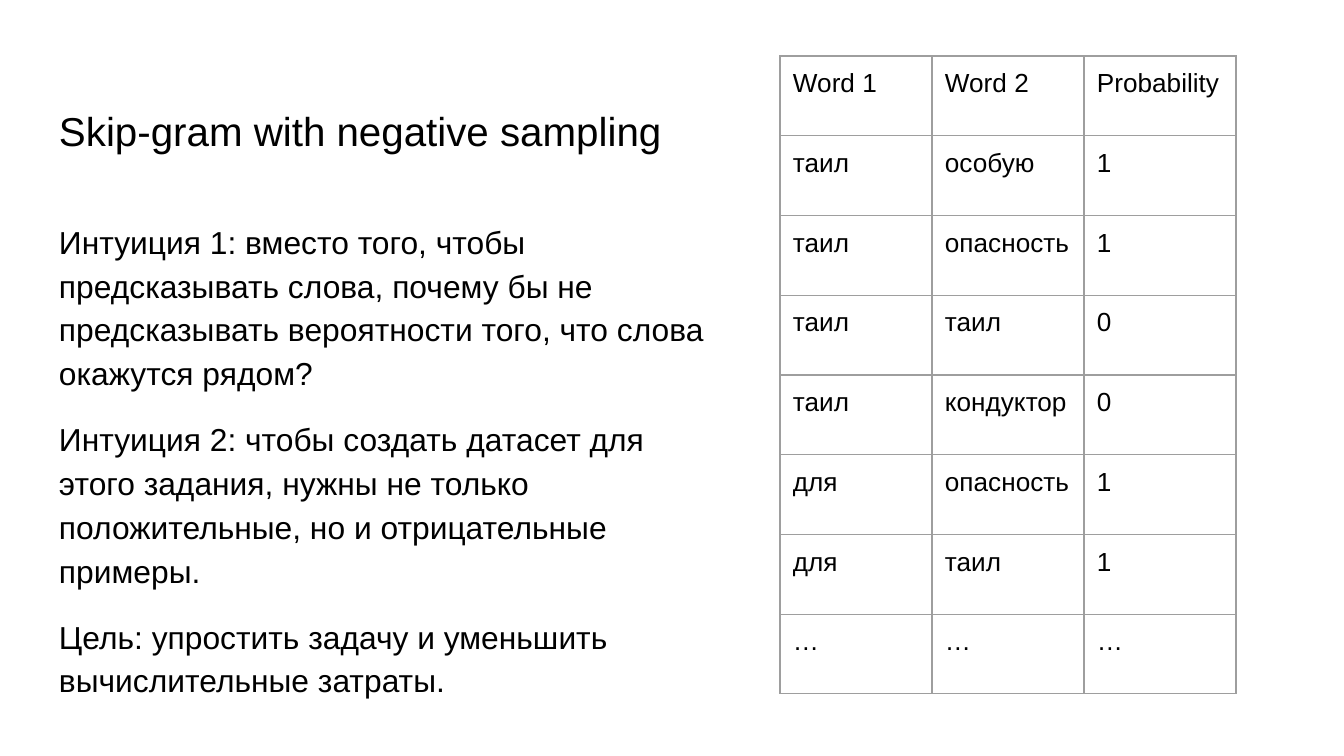
from dataclasses import dataclass

from lxml import etree
from pptx import Presentation
from pptx import util as u
from pptx.dml.color import RGBColor
from pptx.enum import text
from pptx.oxml import ns

SCALE = 914400 / 134.4


def px(num):
    return u.Emu(round(num * SCALE))


def put(obj, vals):
    for key, val in vals.items():
        setattr(obj, key, val)


@dataclass(frozen=True)
class Theme:
    face: str = "Arial"
    ink: str = "000000"
    rule: str = "9E9E9E"
    title: float = 21.6
    body: float = 17
    cell: float = 14
    line: float = 0.75
    pad: int = 13


class Deck:
    def __init__(self, theme, wide, high):
        self.theme = theme
        self.prs = Presentation()
        put(self.prs, {"slide_width": px(wide), "slide_height": px(high)})
        self.slide = self.prs.slides.add_slide(self.prs.slide_layouts[6])

    def pad(self, obj):
        sides = ("left", "top", "right", "bottom")
        put(obj, {f"margin_{side}": px(self.theme.pad) for side in sides})

    def label(self, par, words, size):
        run = par.add_run()
        run.text = words
        put(run.font, {"name": self.theme.face, "size": u.Pt(size)})
        run.font.color.rgb = RGBColor.from_string(self.theme.ink)

    def text(self, box, pars, size, anchor, forms):
        frame = self.slide.shapes.add_textbox(*map(px, box)).text_frame
        put(frame, {"word_wrap": True, "vertical_anchor": anchor,
                    "auto_size": text.MSO_AUTO_SIZE.NONE})
        self.pad(frame)
        for i, (words, form) in enumerate(zip(pars, forms)):
            par = frame.add_paragraph() if i else frame.paragraphs[0]
            put(par, form)
            self.label(par, words, size)

    def edge(self, cell):
        props = cell._tc.get_or_add_tcPr()
        for side in "LRTB":
            line = etree.SubElement(props, ns.qn(f"a:ln{side}"),
                                    w=str(u.Pt(self.theme.line)))
            fill = etree.SubElement(line, ns.qn("a:solidFill"))
            etree.SubElement(fill, ns.qn("a:srgbClr"), val=self.theme.rule)

    def table(self, box, rows):
        grid = self.slide.shapes.add_table(
            len(rows), len(rows[0]), *map(px, box)).table
        put(grid, {"first_row": False, "horz_banding": False})
        for col in grid.columns:
            col.width = px(box[2] / len(rows[0]))
        for row, words in zip(grid.rows, rows):
            row.height = px(box[3] / len(rows))
            for cell, word in zip(row.cells, words):
                self.pad(cell)
                self.edge(cell)
                cell.fill.background()
                self.label(cell.text_frame.paragraphs[0], word, self.theme.cell)


BODY = [
    "Интуиция 1: вместо того, чтобы предсказывать слова, почему бы не "
    "предсказывать вероятности того, что слова окажутся рядом?",
    "Интуиция 2: чтобы создать датасет для этого задания, нужны не только "
    "положительные, но и отрицательные примеры.",
    "Цель: упростить задачу и уменьшить вычислительные затраты.",
]
PAIRS = [
    ("Word 1", "Word 2", "Probability"),
    ("таил", "особую", "1"),
    ("таил", "опасность", "1"),
    ("таил", "таил", "0"),
    ("таил", "кондуктор", "0"),
    ("для", "опасность", "1"),
    ("для", "таил", "1"),
    ("…", "…", "…"),
]


def main():
    theme = Theme()
    deck = Deck(theme, 1344, 756)
    deck.text((46, 56, 704, 112), ["Skip-gram with negative sampling"],
              theme.title, text.MSO_ANCHOR.BOTTOM, [{}])
    first = {"line_spacing": 1.15}
    later = {**first, "space_before": u.Pt(12)}
    last = {**later, "space_after": u.Pt(12)}
    deck.text((46, 204, 684, 468), BODY, theme.body, text.MSO_ANCHOR.TOP,
              [first, later, last])
    deck.table((780, 56, 456, 638), PAIRS)
    deck.prs.save("out.pptx")


if __name__ == "__main__":
    main()
